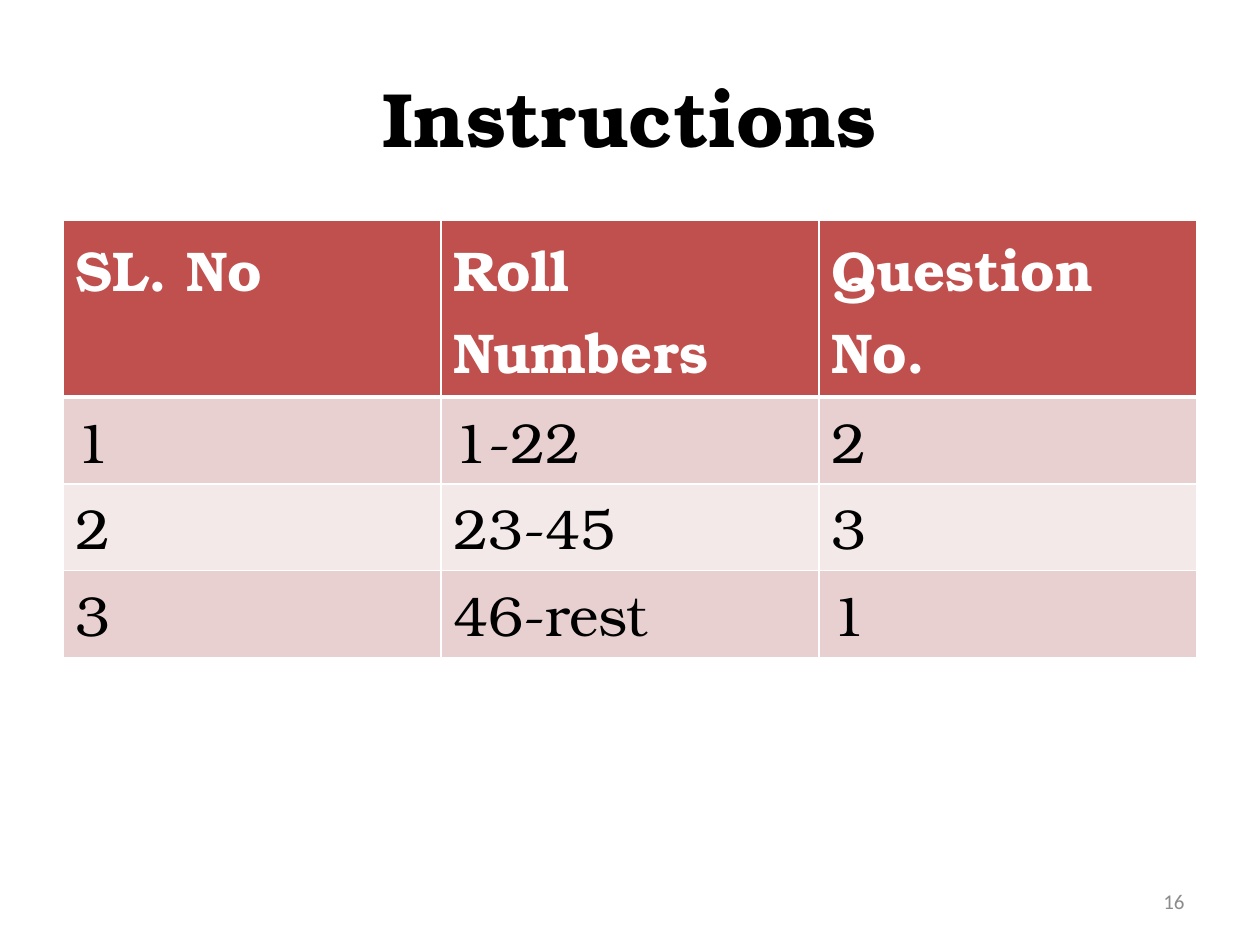
from dataclasses import dataclass

from lxml import etree
from pptx import Presentation
from pptx.dml.color import RGBColor
from pptx.enum.text import MSO_ANCHOR, PP_ALIGN
from pptx.oxml.ns import qn
from pptx.util import Inches, Pt

MIDDLE = MSO_ANCHOR.MIDDLE
LEFT, CENTER, RIGHT = PP_ALIGN.LEFT, PP_ALIGN.CENTER, PP_ALIGN.RIGHT
SERIF, SANS = "TeX Gyre Bonum", "Calibri"
COLORS = {
    "ink": "000000",
    "white": "FFFFFF",
    "header": "C0504D",
    "band_dark": "E8D0D0",
    "band_light": "F4E9E9",
    "page_number": "8C8C8C",
}
ROWS = [
    ("SL. No", "Roll Numbers", "Question No."),
    ("1", "1-22", "2"),
    ("2", "23-45", "3"),
    ("3", "46-rest", "1"),
]
HEADER_HEIGHT, BODY_HEIGHT, COLUMN_WIDTH = 1.4, 0.69, 3


@dataclass(frozen=True)
class TextStyle:
    size: int
    color: str
    font: str = SERIF
    bold: bool = False
    align: PP_ALIGN = LEFT


@dataclass(frozen=True)
class Label:
    text: str
    left: float
    top: float
    width: float
    height: float
    style: TextStyle


LABELS = [
    Label("Instructions", 0.5, 0.3, 9, 1.25, TextStyle(44, "ink", bold=True, align=CENTER)),
    Label("16", 7.17, 6.95, 2.33, 0.4, TextStyle(12, "page_number", SANS, align=RIGHT)),
]
HEADER_STYLE = TextStyle(32, "white", bold=True)
BODY_STYLE = TextStyle(32, "ink")


def write_text(frame, text: str, style: TextStyle) -> None:
    paragraph = frame.paragraphs[0]
    paragraph.alignment = style.align
    run = paragraph.add_run()
    run.text = text
    run.font.name = style.font
    run.font.size = Pt(style.size)
    run.font.bold = style.bold
    run.font.color.rgb = RGBColor.from_string(COLORS[style.color])


def draw_label(slide, label: Label) -> None:
    box = slide.shapes.add_textbox(
        Inches(label.left), Inches(label.top), Inches(label.width), Inches(label.height)
    )
    box.text_frame.word_wrap = True
    box.text_frame.vertical_anchor = MIDDLE
    write_text(box.text_frame, label.text, label.style)


def set_borders(cell, widths: dict[str, int]) -> None:
    properties = cell._tc.get_or_add_tcPr()
    for position, (side, width) in enumerate(widths.items()):
        line = etree.Element(qn(f"a:{side}"), w=str(Pt(width)))
        fill = etree.SubElement(line, qn("a:solidFill"))
        etree.SubElement(fill, qn("a:srgbClr"), val=COLORS["white"])
        properties.insert(position, line)


def draw_assignments(slide) -> None:
    heights = [HEADER_HEIGHT] + [BODY_HEIGHT] * (len(ROWS) - 1)
    columns = len(ROWS[0])
    table = slide.shapes.add_table(
        len(ROWS), columns, Inches(0.5), Inches(1.75),
        Inches(COLUMN_WIDTH * columns), Inches(sum(heights)),
    ).table
    for row_index, (values, height) in enumerate(zip(ROWS, heights)):
        table.rows[row_index].height = Inches(height)
        is_header = row_index == 0
        band = "header" if is_header else "band_dark" if row_index % 2 else "band_light"
        widths = {
            "lnL": 1,
            "lnR": 1,
            "lnT": 3 if row_index == 1 else 1,
            "lnB": 3 if is_header else 1,
        }
        for column_index, value in enumerate(values):
            cell = table.cell(row_index, column_index)
            cell.fill.solid()
            cell.fill.fore_color.rgb = RGBColor.from_string(COLORS[band])
            set_borders(cell, widths)
            write_text(cell.text_frame, value, HEADER_STYLE if is_header else BODY_STYLE)


def main() -> None:
    """Build the instructions slide with its question assignment table."""
    presentation = Presentation()
    presentation.slide_width, presentation.slide_height = Inches(10), Inches(7.5)
    slide = presentation.slides.add_slide(presentation.slide_layouts[6])
    title, page_number = LABELS
    draw_label(slide, title)
    draw_assignments(slide)
    draw_label(slide, page_number)
    presentation.save("out.pptx")


if __name__ == "__main__":
    main()
